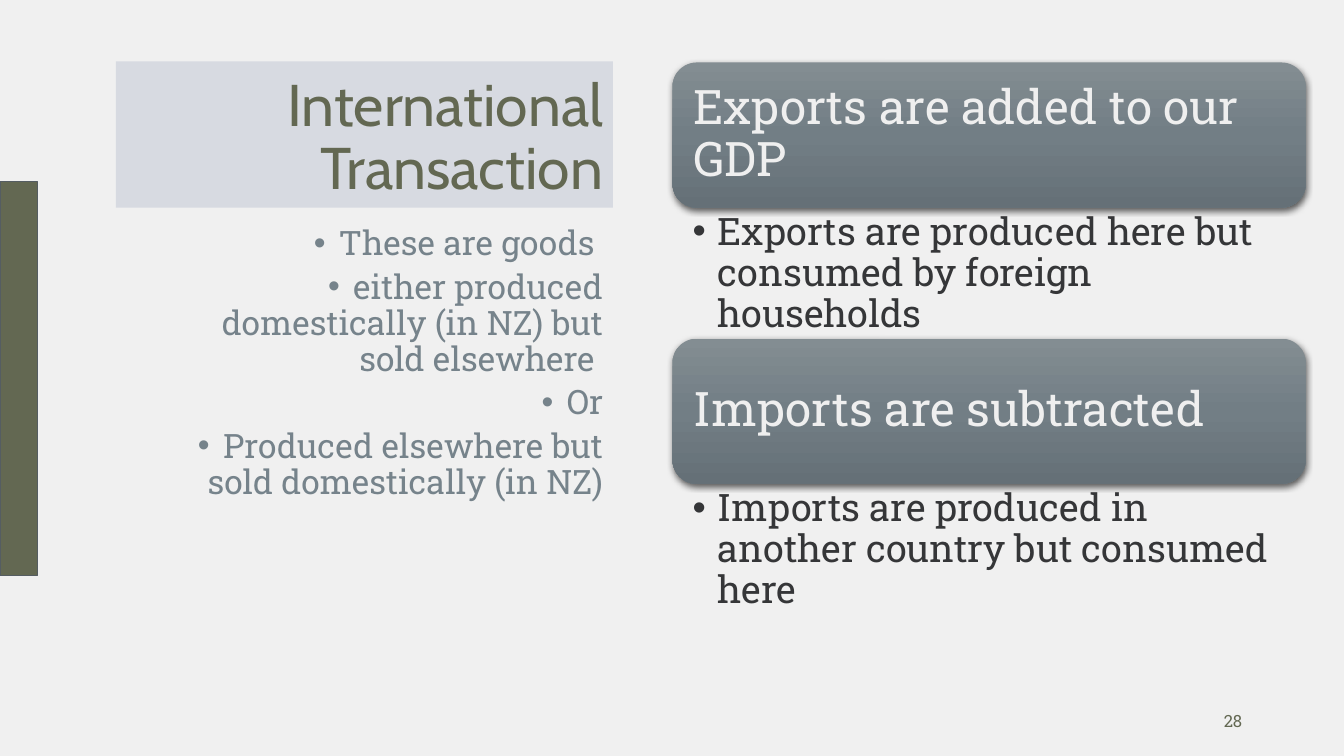
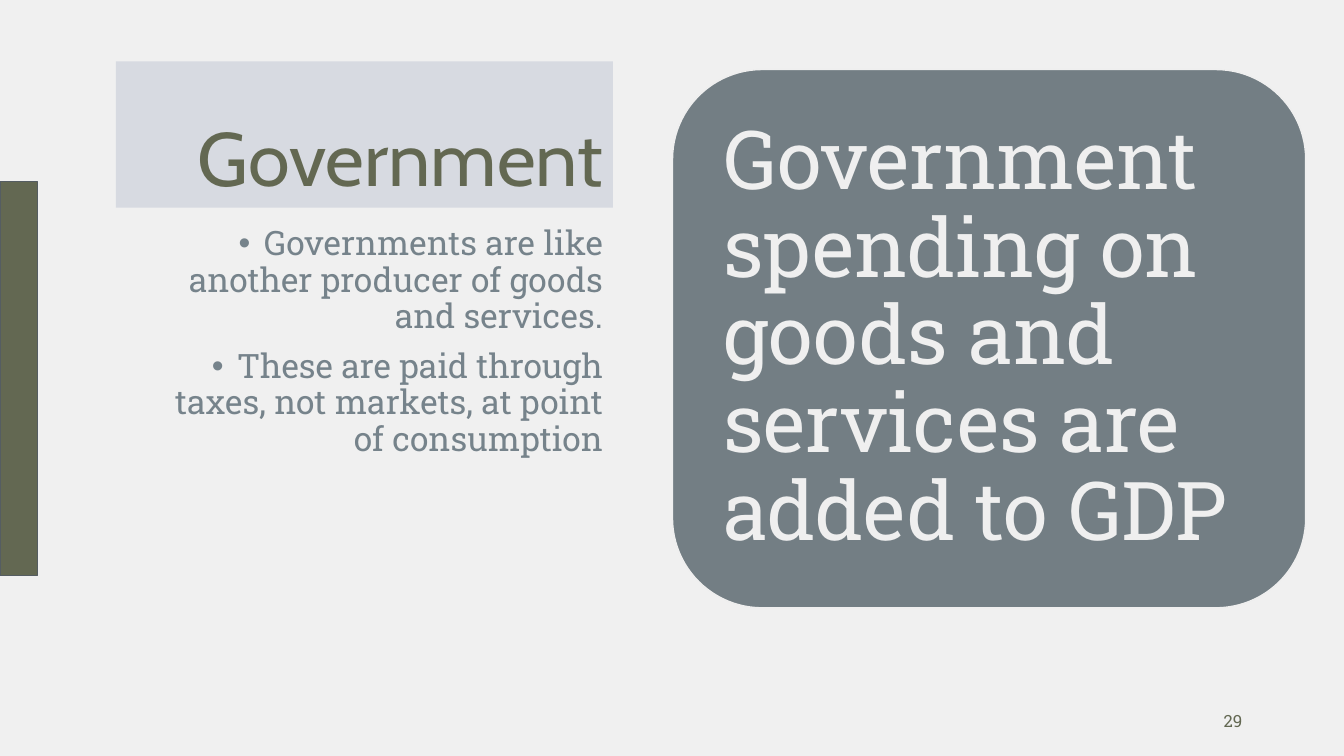
import copy
import pptx
import pptx.dml.color
import pptx.enum.shapes
import pptx.enum.text
import pptx.oxml
import pptx.oxml.ns
import pptx.util

Inches = pptx.util.Inches
Pt = pptx.util.Pt
RGB = pptx.dml.color.RGBColor
Kind = pptx.enum.shapes.MSO_SHAPE
Align = pptx.enum.text.PP_ALIGN
Anchor = pptx.enum.text.MSO_ANCHOR
qn = pptx.oxml.ns.qn

PAPER = RGB(0xF0, 0xF0, 0xF0)
OLIVE = RGB(0x63, 0x68, 0x52)
EDGE = RGB(0x55, 0x5D, 0x62)
BAND = RGB(0xD7, 0xDA, 0xE1)
SLATE = RGB(0x76, 0x83, 0x8B)
PANEL = RGB(0x73, 0x7E, 0x84)
LIGHT = RGB(0xEF, 0xEF, 0xEF)
DARK = RGB(0x35, 0x36, 0x38)
SHADES = (RGB(0x83, 0x8D, 0x92), RGB(0x72, 0x7E, 0x85), RGB(0x65, 0x70, 0x77))

HEAD = "Cabin"
TEXT = "Roboto Slab"
INSET = (0.1, 0.05, 0.1, 0.05)
LEFT, WIDE = 1.15, 4.93
RIGHT, SPAN = 6.67, 6.28


def add_box(slide, kind, box, fill, line=None):
    shape = slide.shapes.add_shape(kind, *map(Inches, box))
    shape.shadow.inherit = False
    if fill is not None:
        shape.fill.solid()
        shape.fill.fore_color.rgb = fill
    if line is None:
        shape.line.fill.background()
    else:
        shape.line.color.rgb = line
        shape.line.width = Pt(1)
    return shape


def set_frame(shape, anchor, inset=INSET):
    frame = shape.text_frame
    frame.word_wrap = True
    frame.vertical_anchor = anchor
    (frame.margin_left, frame.margin_top,
     frame.margin_right, frame.margin_bottom) = map(Inches, inset)
    return frame


def add_text(slide, box, anchor=Anchor.TOP, inset=INSET):
    return set_frame(slide.shapes.add_textbox(*map(Inches, box)), anchor, inset)


def add_bullet(para, margin):
    props = para._p.get_or_add_pPr()
    props.set("marL", str(Inches(margin)))
    props.set("indent", str(Inches(-0.25)))
    for tag, name, value in (("a:buFont", "typeface", "Arial"),
                             ("a:buChar", "char", "•")):
        item = pptx.oxml.parse_xml(f"<{tag} {pptx.oxml.ns.nsdecls('a')}/>")
        item.set(name, value)
        props.append(item)


def write(para, text, size, color, align=Align.LEFT, font=TEXT, margin=None, space=0.9):
    para.text = text
    if margin is not None:
        add_bullet(para, margin)
    para.alignment = align
    para.line_spacing = space
    para.font.size = Pt(size)
    para.font.name = font
    para.font.color.rgb = color


def shade(shape):
    shape.fill.gradient()
    shape.fill.gradient_angle = 270
    stops = shape._element.spPr.find(".//" + qn("a:gsLst"))
    stops.insert(1, copy.deepcopy(stops[0]))
    for i, (stop, color) in enumerate(zip(shape.fill.gradient_stops, SHADES)):
        stop.position = i / 2
        stop.color.rgb = color
    effect = shape._element.spPr.find(qn("a:effectLst"))
    effect.append(pptx.oxml.parse_xml(
        f'<a:outerShdw {pptx.oxml.ns.nsdecls("a")} blurRad="{Pt(4.5)}" dist="{Pt(1.5)}" '
        'dir="5400000" algn="ctr" rotWithShape="0"><a:srgbClr val="000000">'
        '<a:alpha val="63000"/></a:srgbClr></a:outerShdw>'))


def add_base(deck, title, size, points, number):
    slide = deck.slides.add_slide(deck.slide_layouts[6])
    slide.background.fill.solid()
    slide.background.fill.fore_color.rgb = PAPER
    add_box(slide, Kind.RECTANGLE, (0, 1.8, 0.37, 3.91), OLIVE, EDGE)
    band = add_box(slide, Kind.RECTANGLE, (LEFT, 0.61, WIDE, 1.45), BAND)
    frame = set_frame(band, Anchor.BOTTOM)
    write(frame.paragraphs[0], title, size, OLIVE, Align.RIGHT, HEAD)
    add_points(slide, (LEFT, 2.2, WIDE, 3.91), points)
    frame = add_text(slide, (9.42, 6.95, 3, 0.4), Anchor.MIDDLE)
    write(frame.paragraphs[0], str(number), 12, OLIVE, Align.RIGHT, space=1)
    return slide


def add_points(slide, box, points):
    frame = add_text(slide, box)
    for i, (level, text) in enumerate(points):
        para = frame.add_paragraph() if i else frame.paragraphs[0]
        write(para, text, 24, SLATE, Align.RIGHT, margin=0.25 + 0.5 * level)
        if level:
            para.level = level
        if i:
            para.space_before = Pt(5 if level else 10)


def add_cards(slide, box, cards):
    left, top, width, height = box
    step = height / len(cards)
    tall = 1.44
    for i, (head, note) in enumerate(cards):
        y = top + i * step
        card = add_box(slide, Kind.ROUNDED_RECTANGLE, (left, y, width, tall), None)
        shade(card)
        frame = set_frame(card, Anchor.MIDDLE, (0.14,) * 4)
        write(frame.paragraphs[0], head, 34, LIGHT)
        frame = add_text(slide, (left, y + tall, width, step - tall),
                         inset=(0.2, 0.05, 0.26, 0.05))
        write(frame.paragraphs[0], note, 27, DARK, margin=0.25)


def add_panel(slide, box, text):
    panel = add_box(slide, Kind.ROUNDED_RECTANGLE, box, PANEL, LIGHT)
    frame = set_frame(panel, Anchor.MIDDLE, (0.24,) * 4)
    write(frame.paragraphs[0], text, 58, LIGHT)


def main():
    deck = pptx.Presentation()
    deck.slide_width = Inches(13.33)
    deck.slide_height = Inches(7.5)

    trade = add_base(deck, "International Transaction", 42, [
        (0, "These are goods "),
        (1, "either produced domestically (in NZ) but sold elsewhere "),
        (1, "Or"),
        (1, "Produced elsewhere but sold domestically (in NZ)"),
    ], 28)
    add_cards(trade, (RIGHT, 0.62, SPAN, 5.48), [
        ("Exports are added to our GDP",
         "Exports are produced here but consumed by foreign households"),
        ("Imports are subtracted",
         "Imports are produced in another country but consumed here"),
    ])

    state = add_base(deck, "Government", 54, [
        (0, "Governments are like another producer of goods and services."),
        (0, "These are paid through taxes, not markets, at point of consumption"),
    ], 29)
    add_panel(state, (RIGHT, 0.69, SPAN, 5.34),
              "Government spending on goods and services are added to GDP")

    deck.save("out.pptx")


if __name__ == "__main__":
    main()
